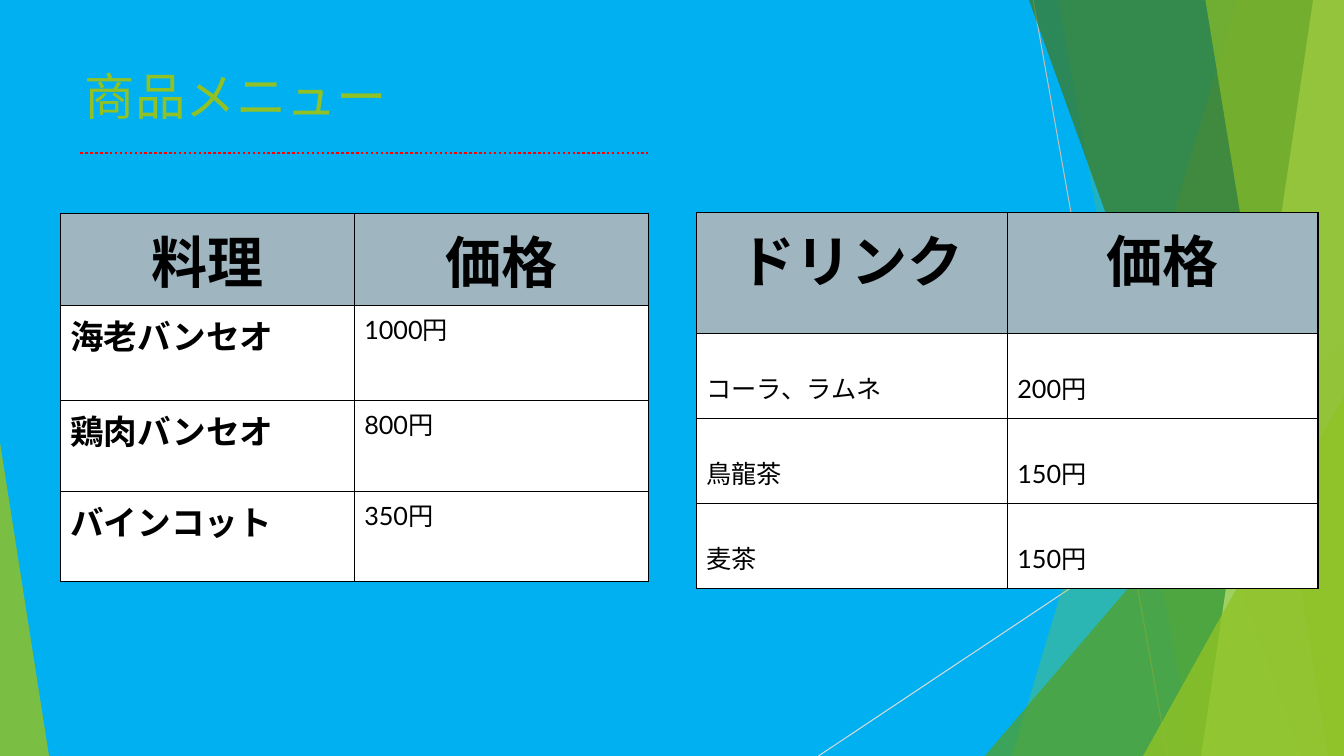
from dataclasses import dataclass

from lxml import etree
from pptx import Presentation
from pptx.dml.color import RGBColor
from pptx.enum.dml import MSO_LINE
from pptx.enum.shapes import MSO_CONNECTOR, MSO_SHAPE
from pptx.enum.text import MSO_ANCHOR, PP_ALIGN
from pptx.oxml.ns import qn
from pptx.util import Pt

STRAIGHT = MSO_CONNECTOR.STRAIGHT
TRIANGLE = MSO_SHAPE.ISOSCELES_TRIANGLE
DOTTED = MSO_LINE.ROUND_DOT
TOP = MSO_ANCHOR.TOP
LEFT, CENTER = PP_ALIGN.LEFT, PP_ALIGN.CENTER
WIDTH, HEIGHT = 960, 540


@dataclass(frozen=True)
class Theme:
    background: str = "00B0F0"
    green: str = "90C226"
    leaf: str = "54A021"
    forest: str = "3F7819"
    lime: str = "C0E474"
    grey: str = "BFBFBF"
    pale_grey: str = "D9D9D9"
    underline: str = "FF0000"
    header: str = "9FB6C0"
    cell: str = "FFFFFF"
    ink: str = "000000"
    latin: str = "Lato"
    japanese: str = "Noto Sans CJK JP"
    title_size: int = 36
    header_size: int = 40
    dish_size: int = 24
    body_size: int = 18


@dataclass(frozen=True)
class TextStyle:
    size: int
    font: str
    color: str
    bold: bool = False
    align: PP_ALIGN = LEFT


class MenuSlide:
    def __init__(self, slide, theme):
        self.slide, self.theme = slide, theme
        self.shapes = slide.shapes
        self.paint(slide.background.fill, theme.background)

    def paint(self, fill, color, opacity=100):
        fill.solid()
        fill.fore_color.rgb = RGBColor.from_string(color)
        if opacity < 100:
            color_node = fill.fore_color._xFill.find(qn("a:srgbClr"))
            etree.SubElement(color_node, qn("a:alpha"), val=str(opacity * 1000))

    def facet(self, shape, color, opacity):
        """Finish a background shape: translucent fill, no outline or shadow."""
        shape.shadow.inherit = False
        shape.line.fill.background()
        self.paint(shape.fill, color, opacity)

    def band(self, top_x, bottom_x, color, opacity):
        """Fill from a slanted edge to the right side of the slide."""
        builder = self.shapes.build_freeform(Pt(top_x), 0)
        corners = [(WIDTH, 0), (WIDTH, HEIGHT), (bottom_x, HEIGHT)]
        builder.add_line_segments([(Pt(x), Pt(y)) for x, y in corners])
        self.facet(builder.convert_to_shape(), color, opacity)

    def corner(self, left, top, width, peak, color, opacity):
        """Right triangle standing on the bottom edge; peak 0 is left, 1 right."""
        shape = self.shapes.add_shape(
            TRIANGLE, Pt(left), Pt(top), Pt(width), Pt(HEIGHT - top))
        shape.adjustments[0] = peak
        self.facet(shape, color, opacity)

    def line(self, start, end, color, weight, dash=None):
        connector = self.shapes.add_connector(
            STRAIGHT, *(Pt(value) for value in start + end))
        connector.line.color.rgb = RGBColor.from_string(color)
        connector.line.width = Pt(weight)
        if dash is not None:
            connector.line.dash_style = dash
        etree.SubElement(connector._element.spPr, qn("a:effectLst"))

    def put_text(self, frame, text, style):
        paragraph = frame.paragraphs[0]
        paragraph.text = text
        paragraph.alignment = style.align
        font = paragraph.font
        font.size, font.bold, font.name = Pt(style.size), style.bold, style.font
        font.color.rgb = RGBColor.from_string(style.color)
        etree.SubElement(font._rPr, qn("a:ea"), typeface=self.theme.japanese)
        return paragraph

    def title(self, text, left, top, width, height):
        box = self.shapes.add_textbox(Pt(left), Pt(top), Pt(width), Pt(height))
        box.text_frame.word_wrap = True
        theme = self.theme
        style = TextStyle(theme.title_size, theme.japanese, theme.green)
        self.put_text(box.text_frame, text, style).line_spacing = 0.9

    def border(self, cell):
        properties = cell._tc.get_or_add_tcPr()
        for position, side in enumerate(("lnL", "lnR", "lnT", "lnB")):
            edge = etree.Element(qn("a:" + side), w=str(Pt(1)))
            fill = etree.SubElement(edge, qn("a:solidFill"))
            etree.SubElement(fill, qn("a:srgbClr"), val=self.theme.ink)
            properties.insert(position, edge)

    def price_table(self, left, top, column_width, heights, rows, name_style,
                    body_inset):
        """Two-column price list; body_inset is the space above body text."""
        theme = self.theme
        header_style = TextStyle(
            theme.header_size, theme.japanese, theme.ink, True, CENTER)
        price_style = TextStyle(theme.body_size, theme.latin, theme.ink)
        table = self.shapes.add_table(
            len(rows), 2, Pt(left), Pt(top),
            Pt(2 * column_width), Pt(sum(heights))).table
        for column in table.columns:
            column.width = Pt(column_width)
        for r, (height, entries) in enumerate(zip(heights, rows)):
            table.rows[r].height = Pt(height)
            styles = (name_style, price_style) if r else (header_style,) * 2
            for c, (text, style) in enumerate(zip(entries, styles)):
                cell = table.cell(r, c)
                cell.vertical_anchor = TOP
                cell.margin_top = Pt(body_inset if r else 3.6)
                self.paint(cell.fill, theme.cell if r else theme.header)
                self.border(cell)
                self.put_text(cell.text_frame, text, style)


def main():
    deck = Presentation()
    deck.slide_width, deck.slide_height = Pt(WIDTH), Pt(HEIGHT)
    theme = Theme()
    menu = MenuSlide(deck.slides.add_slide(deck.slide_layouts[6]), theme)

    menu.line((738, 0), (834, HEIGHT), theme.grey, 0.75)
    menu.line((WIDTH, 290), (584.6, HEIGHT), theme.pale_grey, 0.75)
    menu.band(884, 723, theme.green, 30)
    menu.band(756, 852, theme.green, 20)
    menu.corner(703.4, 240, 256.6, 1, theme.leaf, 72)
    menu.band(735, 929.5, theme.forest, 70)
    menu.band(938, 858, theme.lime, 70)
    menu.band(861, 949, theme.green, 65)
    menu.corner(816.5, 283, 143.5, 1, theme.green, 80)
    menu.corner(0, 316, 35, 0, theme.green, 85)

    menu.title("商品メニュー", 53.5, 48, 677, 104)
    dishes = [("料理", "価格"), ("海老バンセオ", "1000円"),
              ("鶏肉バンセオ", "800円"), ("バインコット", "350円")]
    drinks = [("ドリンク", "価格"), ("コーラ、ラムネ", "200円"),
              ("鳥龍茶", "150円"), ("麦茶", "150円")]
    dish_style = TextStyle(theme.dish_size, theme.japanese, theme.ink, True)
    drink_style = TextStyle(theme.body_size, theme.latin, theme.ink)
    menu.price_table(43, 152.5, 210, [65.5, 68, 65, 64.5], dishes, dish_style, 3.6)
    menu.line((57.5, 109.5), (463, 109.5), theme.underline, 1.75, DOTTED)
    menu.price_table(497.5, 152, 222, [86.5] + [60.6] * 3, drinks, drink_style, 25.2)

    deck.save("out.pptx")


if __name__ == "__main__":
    main()
